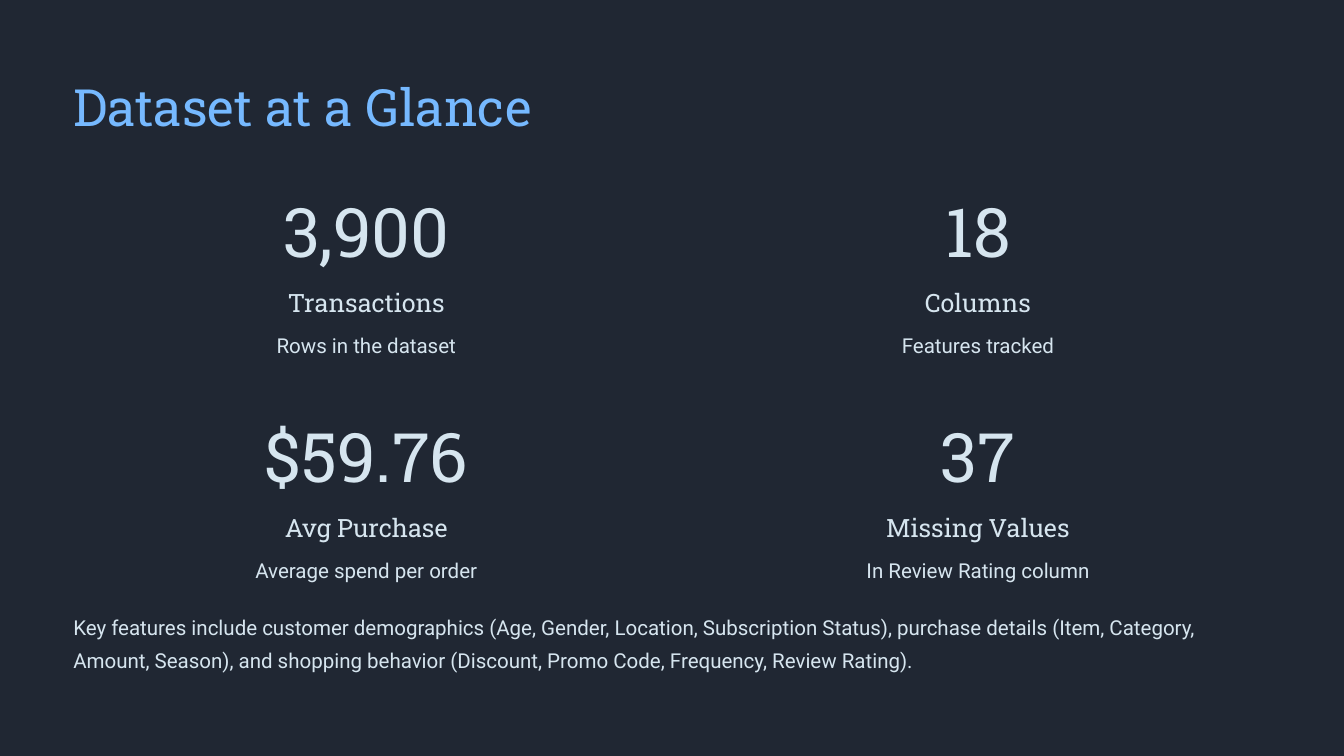
import pptx
import pptx.dml.color
import pptx.enum.shapes
import pptx.enum.text
import pptx.util

Cm = pptx.util.Cm
Pt = pptx.util.Pt

TITLE = "Dataset at a Glance"
STATS = [
    ("3,900", "Transactions", "Rows in the dataset"),
    ("18", "Columns", "Features tracked"),
    ("$59.76", "Avg Purchase", "Average spend per order"),
    ("37", "Missing Values", "In Review Rating column"),
]
NOTE = (
    "Key features include customer demographics (Age, Gender, Location, "
    "Subscription Status), purchase details (Item, Category, Amount, Season), "
    "and shopping behavior (Discount, Promo Code, Frequency, Review Rating)."
)

COLORS = {"panel": "202733", "title": "76B9FF", "text": "D6E5EF"}
SLAB, SANS = "Roboto Slab", "Roboto"

# Lengths in cm
WIDE, HIGH = 50.8, 28.58
LEFT, TOP = 2.77, 7.67
CELL = 22.15
STEP_X, STEP_Y = 23.12, 8.51
COLS = 2

# One entry per line of a stat: drop from cell top, width, height, format
LINES = [
    (0, CELL, 2.21, dict(size=73, lead=72.7, font=SLAB)),
    (3.15, 9.86, 1.24, dict(size=27, lead=33.7, font=SLAB)),
    (4.62, CELL, 1.52, dict(size=22, lead=35.1, font=SANS)),
]


def rgb(name):
    return pptx.dml.color.RGBColor.from_string(COLORS[name])


def add_text(slide, text, box, size, lead, font, color="text", align="LEFT"):
    frame = slide.shapes.add_textbox(*map(Cm, box)).text_frame
    frame.word_wrap = True
    frame.auto_size = pptx.enum.text.MSO_AUTO_SIZE.SHAPE_TO_FIT_TEXT
    frame.margin_left = frame.margin_right = 0
    frame.margin_top = frame.margin_bottom = 0
    para = frame.paragraphs[0]
    para.alignment = pptx.enum.text.PP_ALIGN[align]
    para.line_spacing = Pt(lead)
    run = para.add_run()
    run.text = text
    run.font.size = Pt(size)
    run.font.name = font
    run.font.color.rgb = rgb(color)


def add_panel(slide):
    kind = pptx.enum.shapes.MSO_SHAPE.RECTANGLE
    panel = slide.shapes.add_shape(kind, 0, 0, Cm(WIDE), Cm(HIGH))
    panel.shadow.inherit = False
    panel.fill.solid()
    panel.fill.fore_color.rgb = rgb("panel")
    panel.line.fill.background()


def add_stat(slide, stat, left, top):
    for text, (drop, width, height, style) in zip(stat, LINES):
        box = (left + (CELL - width) / 2, top + drop, width, height)
        add_text(slide, text, box, align="CENTER", **style)


def main():
    deck = pptx.Presentation()
    deck.slide_width, deck.slide_height = Cm(WIDE), Cm(HIGH)
    slide = deck.slides.add_slide(deck.slide_layouts[6])

    add_panel(slide)
    add_text(slide, TITLE, (LEFT, 2.77, 22.23, 2.54),
             size=55, lead=68.6, font=SLAB, color="title")
    for i, stat in enumerate(STATS):
        row, col = divmod(i, COLS)
        add_stat(slide, stat, LEFT + col * STEP_X, TOP + row * STEP_Y)
    add_text(slide, NOTE, (LEFT, 22.96, 45.29, 2.79),
             size=22, lead=35.1, font=SANS)

    deck.save("out.pptx")


if __name__ == "__main__":
    main()
